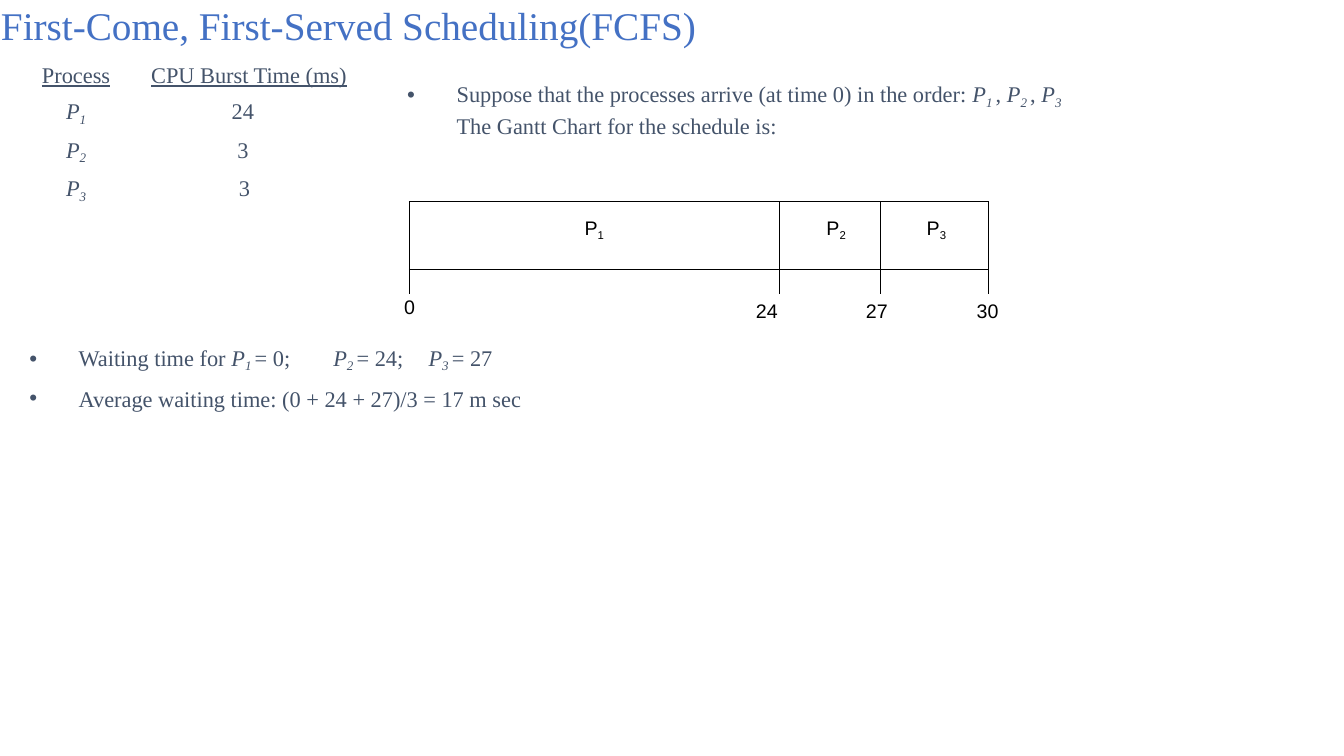
from itertools import cycle
from lxml.etree import SubElement
from pptx import Presentation
from pptx.dml.color import RGBColor
from pptx.enum.text import MSO_ANCHOR, MSO_AUTO_SIZE, PP_ALIGN
from pptx.oxml.ns import qn
from pptx.util import Inches, Pt

BLUE = RGBColor(0x44, 0x71, 0xC4)
SLATE = RGBColor(0x44, 0x53, 0x6A)
BLACK = RGBColor(0, 0, 0)
SERIF, SANS = "Times New Roman", "Arial"
COLS, ROWS = 40, 30


class Deck:
    """Slide on a 40 x 30 grid; '|' in a text cycles plain, variable and subscript runs."""

    def __init__(self):
        self.prs = Presentation()
        self.prs.slide_width, self.prs.slide_height = Inches(13.33), Inches(7.5)
        self.s = self.prs.slides.add_slide(self.prs.slide_layouts[3])

    def x(self, cols):
        return round(self.prs.slide_width * cols / COLS)

    def y(self, rows):
        return round(self.prs.slide_height * rows / ROWS)

    def box(self, x, y, w, h):
        return self.x(x), self.y(y), self.x(w), self.y(h)

    def para(self, p, text, size=16, font=SERIF, color=SLATE, align=PP_ALIGN.LEFT,
             before=0, indent=0, hang=0, line=1.0, underline=False):
        for part, kind in zip(text.split("|"), cycle(("plain", "variable", "subscript"))):
            if not part:
                continue
            r = p.add_run()
            r.text = part
            r.font.size, r.font.name, r.font.color.rgb = Pt(size), font, color
            r.font.underline = underline
            r.font.italic = kind != "plain" and font == SERIF
            if kind == "subscript":
                r.font._element.set("baseline", "-21000")
        p.alignment, p.space_before, p.line_spacing = align, Pt(before), line
        pPr = p._p.get_or_add_pPr()
        pPr.set("marL", str(self.x(indent)))
        pPr.set("indent", str(-self.x(hang)))
        return pPr

    def frame(self, sp, top=0.04):
        tf = sp.text_frame
        tf.word_wrap, tf.auto_size = True, MSO_AUTO_SIZE.NONE
        tf.vertical_anchor = MSO_ANCHOR.TOP
        tf.margin_left = tf.margin_right = tf.margin_bottom = 0
        tf.margin_top = self.y(top)
        return tf

    def place(self, idx, box, top=0.04):
        sp = self.s.placeholders[idx]
        sp.left, sp.top, sp.width, sp.height = self.box(*box)
        return self.frame(sp, top)

    def title(self, text, box):
        p = self.place(0, box).paragraphs[0]
        self.para(p, text, 28, color=BLUE, before=1.1, indent=0.03)

    def bullets(self, idx, box, items, top=0.04, line=1.0):
        tf = self.place(idx, box, top)
        for i, (text, before, bullet) in enumerate(items):
            p = tf.paragraphs[0] if i == 0 else tf.add_paragraph()
            pPr = self.para(p, text, before=before, indent=1.59,
                            hang=1.47 if bullet else 0, line=line)
            if bullet:
                SubElement(pPr, qn("a:buChar"), char="•")
            else:
                SubElement(pPr, qn("a:buNone"))

    def label(self, text, x, y):
        tf = self.frame(self.s.shapes.add_textbox(*self.box(x, y, 0.75, 1.04)))
        tf.word_wrap = False
        self.para(tf.paragraphs[0], text, 14, SANS, BLACK, before=0.9, indent=0.03)

    def table(self, x, y, widths, heights):
        box = self.box(x, y, sum(widths), sum(heights))
        table = self.s.shapes.add_table(len(heights), len(widths), *box).table
        table.first_row = table.horz_banding = False
        for col, w in zip(table.columns, widths):
            col.width = self.x(w)
        for row, h in zip(table.rows, heights):
            row.height = self.y(h)
        for cell in table.iter_cells():
            cell.margin_left = cell.margin_right = cell.margin_top = cell.margin_bottom = 0
            cell.text_frame.paragraphs[0]._p.get_or_add_endParaRPr().set("sz", "1000")
        return table

    def borders(self, cell, sides):
        tcPr = cell._tc.get_or_add_tcPr()
        for side in "LRTB":
            ln = SubElement(tcPr, qn(f"a:ln{side}"), w=str(Pt(0.75)))
            if side in sides:
                fill = SubElement(ln, qn("a:solidFill"))
                SubElement(fill, qn("a:srgbClr"), val=str(BLACK))
            else:
                SubElement(ln, qn("a:noFill"))
        cell.fill.background()

    def burst_table(self, x, y, heads, bursts):
        table = self.table(x, y, (3.03, 6.84), (1.28, 1.6, 1.52, 1.36))
        for cell in table.iter_cells():
            self.borders(cell, "")
        for c, (head, align, indent) in enumerate(heads):
            p = table.cell(0, c).text_frame.paragraphs[0]
            self.para(p, head, align=align, indent=indent, line=Pt(18.5), underline=True)
        for i, (burst, top, before, indent) in enumerate(bursts, 1):
            for c, text in enumerate((f"|P|{i}", burst)):
                cell = table.cell(i, c)
                cell.margin_top = self.y(top)
                self.para(cell.text_frame.paragraphs[0], text, align=PP_ALIGN.CENTER,
                          before=before, indent=indent * c)

    def gantt(self, x, y, bars):
        table = self.table(x, y, [w for w, _ in bars], (2.68, 1))
        for c, (_, indent) in enumerate(bars):
            bar, tick = table.cell(0, c), table.cell(1, c)
            bar.margin_top = self.y(0.64)
            self.para(bar.text_frame.paragraphs[0], f"|P|{c + 1}", 14, SANS, BLACK,
                      PP_ALIGN.CENTER, before=11.8, indent=indent)
            self.borders(bar, "LRTB")
            self.borders(tick, "LRT")


def main():
    d = Deck()
    d.title("First-Come, First-Served Scheduling(FCFS)", (0, 0, 28.29, 1.96))
    d.burst_table(0.75, 2.48,
                  (("Process", PP_ALIGN.CENTER, 0), ("CPU Burst Time (ms)", PP_ALIGN.LEFT, 0.72)),
                  (("24", 0.2, 3.5, 0.06), ("3", 0.12, 2.1, 0.06), ("3", 0.12, 2.2, 0.15)))
    d.bullets(1, (12, 3.32, 20.97, 2.16), (
        ("Suppose that the processes arrive (at time 0) in the order: |P|1 |, |P|2 |, |P|3", 1.1, True),
        ("The Gantt Chart for the schedule is:", 2.5, False)), line=Pt(18.2))
    d.gantt(12.18, 8, ((11.01, 0), (3, 0.39), (3.24, 0.12)))
    for time, x, y in (("0", 12, 11.68), ("24", 22.47, 11.84),
                       ("27", 25.74, 11.84), ("30", 29.04, 11.84)):
        d.label(time, x, y)
    d.bullets(2, (0.75, 13.32, 18.51, 2.96), (
        ("Waiting time for |P|1 |= 0;\t |P|2 |= 24; \t|P|3 |= 27", 6, True),
        ("Average waiting time: (0 + 24 + 27)/3 = 17 m sec", 8.2, True)), top=0.32)
    d.prs.save("out.pptx")


if __name__ == "__main__":
    main()
